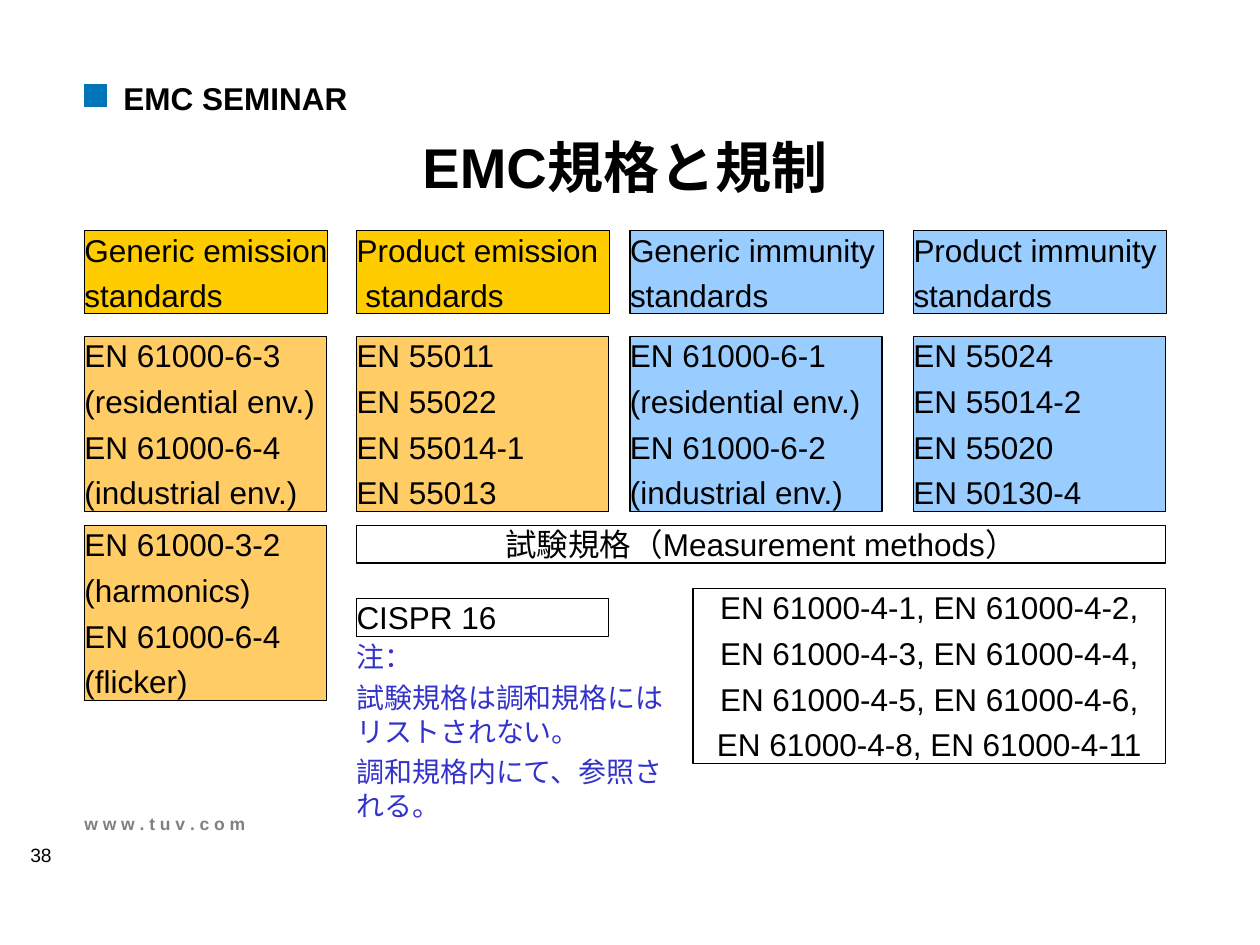
from dataclasses import dataclass

from pptx import Presentation
from pptx.dml.color import RGBColor
from pptx.enum.shapes import MSO_SHAPE
from pptx.enum.text import MSO_ANCHOR, PP_ALIGN
from pptx.util import Inches, Pt


@dataclass(frozen=True)
class Theme:
    font: str = "Arial"
    black: str = "000000"
    grey: str = "808080"
    note_blue: str = "3333CC"
    marker_blue: str = "0075BA"
    gold: str = "FFCC00"
    orange: str = "FFCC66"
    light_blue: str = "99CCFF"
    title_size: float = 32
    body_size: float = 18
    note_size: float = 16
    number_size: float = 11
    footer_size: float = 10


THEME = Theme()

# Column left edges and row tops of the standards grid, in inches
COLUMNS = (0.67, 2.83, 5, 7.25)
HEADING_TOP, LIST_TOP, METHODS_TOP = 1.83, 2.67, 4.17
HEADING_HEIGHT, LIST_HEIGHT, LINE_HEIGHT = 0.66, 1.39, 0.3
RIGHT_EDGE = 9.25

# Heading, its fill and width; list, its fill and width
STANDARDS = (
    (("Generic emission", "standards"), THEME.gold, 1.93,
     ("EN 61000-6-3", "(residential env.)", "EN 61000-6-4", "(industrial env.)"),
     THEME.orange, 1.92),
    (("Product emission", "standards"), THEME.gold, 2.01,
     ("EN 55011", "EN 55022", "EN 55014-1", "EN 55013"), THEME.orange, 2),
    (("Generic immunity", "standards"), THEME.light_blue, 2.01,
     ("EN 61000-6-1", "(residential env.)", "EN 61000-6-2", "(industrial env.)"),
     THEME.light_blue, 2),
    (("Product immunity", "standards"), THEME.light_blue, 2.01,
     ("EN 55024", "EN 55014-2", "EN 55020", "EN 50130-4"), THEME.light_blue, 2),
)


def write_text(box, lines, size=THEME.body_size, color=THEME.black, bold=False,
               align=PP_ALIGN.LEFT, gap=4.5):
    frame = box.text_frame
    frame.word_wrap = True
    frame.vertical_anchor = MSO_ANCHOR.TOP
    frame.margin_left = frame.margin_right = 0
    frame.margin_top = frame.margin_bottom = 0
    frame.text = "\n".join(lines)
    for index, para in enumerate(frame.paragraphs):
        para.alignment = align
        para.space_before = Pt(gap if index else 0)
        for span in para.runs:
            span.font.name = THEME.font
            span.font.size = Pt(size)
            span.font.bold = bold
            span.font.color.rgb = RGBColor.from_string(color)
    return frame


def add_text(page, left, top, width, height, lines, **style):
    box = page.shapes.add_textbox(Inches(left), Inches(top), Inches(width), Inches(height))
    return write_text(box, lines, **style)


def add_rectangle(page, left, top, width, height, fill=None, line=THEME.black, weight=0.75):
    box = page.shapes.add_shape(
        MSO_SHAPE.RECTANGLE, Inches(left), Inches(top), Inches(width), Inches(height))
    box.shadow.inherit = False
    if fill:
        box.fill.solid()
        box.fill.fore_color.rgb = RGBColor.from_string(fill)
    else:
        box.fill.background()
    box.line.color.rgb = RGBColor.from_string(line)
    box.line.width = Pt(weight)
    return box


def add_text_rectangle(page, left, top, width, height, lines, fill=None, align=PP_ALIGN.LEFT):
    box = add_rectangle(page, left, top, width, height, fill)
    return write_text(box, lines, align=align)


def add_page_frame(page):
    add_rectangle(page, COLUMNS[0], 0.67, 0.17, 0.17, THEME.marker_blue, THEME.marker_blue, 0.25)
    footer = add_text(page, COLUMNS[0], 6.34, 1.69, 0.28, ["w w w . t u v . c o m"],
                      size=THEME.footer_size, color=THEME.grey, bold=True)
    footer.vertical_anchor = MSO_ANCHOR.BOTTOM
    footer.margin_top = Inches(0.12)
    seminar = add_text(page, 0.98, 0.55, 6.18, 0.85, ["EMC SEMINAR"], bold=True)
    seminar.paragraphs[0].line_spacing = 1.25
    add_text(page, 0.24, 6.69, 0.42, 0.28, ["38"], size=THEME.number_size)


def add_title(page):
    title = add_text(page, 0.5, 1, 8.92, 0.75, ["EMC規格と規制"],
                     size=THEME.title_size, bold=True, align=PP_ALIGN.CENTER)
    title.margin_left = title.margin_right = Inches(0.1)
    title.margin_top = title.margin_bottom = Inches(0.05)


def add_standards(page):
    headings = []
    for left, column in zip(COLUMNS, STANDARDS):
        heading, heading_fill, heading_width, names, list_fill, list_width = column
        headings.append(add_text_rectangle(
            page, left, HEADING_TOP, heading_width, HEADING_HEIGHT, heading, heading_fill))
        add_text_rectangle(page, left, LIST_TOP, list_width, LIST_HEIGHT, names, list_fill)
    # The first heading fills its box exactly; the second has an indented last line
    headings[0].word_wrap = False
    last_line = headings[1].paragraphs[1]
    last_line._p.get_or_add_pPr().set("marL", str(Inches(0.07)))
    add_text_rectangle(page, COLUMNS[0], METHODS_TOP, 1.92, LIST_HEIGHT,
                       ("EN 61000-3-2", "(harmonics)", "EN 61000-6-4", "(flicker)"),
                       THEME.orange)


def add_measurement_methods(page):
    left = COLUMNS[1]
    add_text_rectangle(page, left, METHODS_TOP, RIGHT_EDGE - left, LINE_HEIGHT,
                       ["試験規格（Measurement methods）"], align=PP_ALIGN.CENTER)
    add_text_rectangle(page, left, 4.75, 2, LINE_HEIGHT, ["CISPR 16"])
    add_text_rectangle(page, 5.5, 4.67, RIGHT_EDGE - 5.5, LIST_HEIGHT,
                       ("EN 61000-4-1, EN 61000-4-2,", "EN 61000-4-3, EN 61000-4-4,",
                        "EN 61000-4-5, EN 61000-4-6,", "EN 61000-4-8, EN 61000-4-11"),
                       align=PP_ALIGN.CENTER)
    add_text(page, left, 5.08, 2.58, 1.44,
             ("注：", "試験規格は調和規格にはリストされない。", "調和規格内にて、参照される。"),
             size=THEME.note_size, color=THEME.note_blue, gap=4)


def main():
    deck = Presentation()
    deck.slide_width, deck.slide_height = Inches(10), Inches(7.5)
    page = deck.slides.add_slide(deck.slide_layouts[6])
    add_page_frame(page)
    add_title(page)
    add_standards(page)
    add_measurement_methods(page)
    deck.save("out.pptx")


if __name__ == "__main__":
    main()
